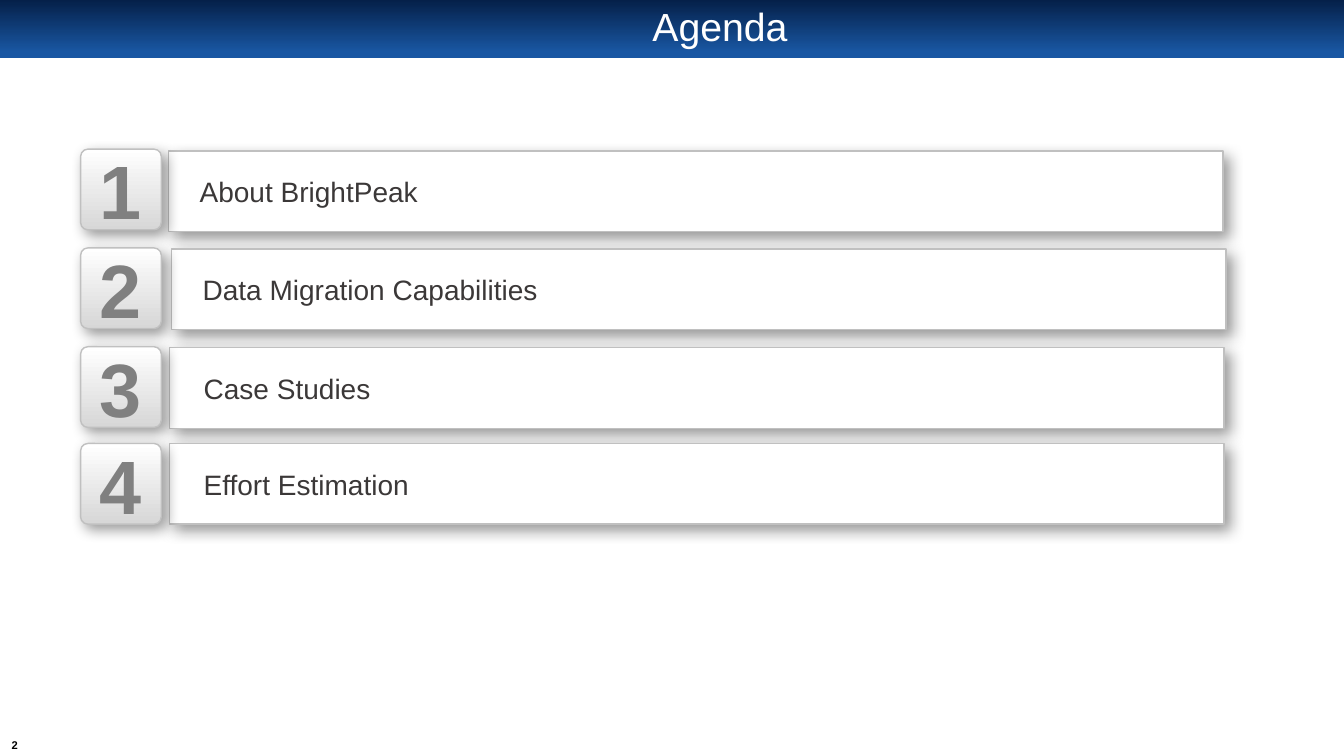
from lxml.etree import SubElement as Sub
from pptx import Presentation
from pptx.dml.color import RGBColor as Rgb
from pptx.enum.shapes import MSO_SHAPE as Shape
from pptx.enum.text import MSO_ANCHOR as Anchor, PP_ALIGN as Align
from pptx.oxml.ns import qn
from pptx.util import Inches, Pt

HUES = {"navy": "052049", "blue": "1957A3", "white": "FFFFFF", "silver": "D7D7D7",
        "edge": "C0C0C0", "gray": "808080", "ink": "3B3838", "black": "000000"}
FONTS = {
    "title": {"size": Pt(28), "color": "white"},
    "badge": {"size": Pt(54), "color": "gray", "bold": True},
    "item": {"size": Pt(20), "color": "ink"},
    "page": {"size": Pt(8), "color": "black", "bold": True},
}
ROWS = [
    ("About BrightPeak", 1.48, 1.67, 1.5, 0.31),
    ("Data Migration Capabilities", 2.46, 1.7, 2.47, 0.31),
    ("Case Studies", 3.44, 1.68, 3.45, 0.34),
    ("Effort Estimation", 4.4, 1.68, 4.4, 0.34),
]
SIDE = 0.8


def hue(name):
    """Return the colour of that name."""
    return Rgb.from_string(HUES[name])


def write(shape, text, style, align, insets=(0, 0, 0, 0), wrap=True):
    """Put one styled paragraph into a shape."""
    frame = shape.text_frame
    frame.word_wrap = wrap
    frame.vertical_anchor = Anchor.MIDDLE
    for side, inset in zip(("left", "top", "right", "bottom"), insets):
        setattr(frame, f"margin_{side}", Inches(inset))
    line = frame.paragraphs[0]
    line.text = text
    line.alignment = align
    for key, value in {"name": "Arial", **FONTS[style]}.items():
        if key == "color":
            line.font.color.rgb = hue(value)
        else:
            setattr(line.font, key, value)
    return line


def blend(shape, stops, angle):
    """Fill a shape with a two-colour gradient."""
    shape.fill.gradient()
    shape.fill.gradient_angle = angle
    for stop, (place, name) in zip(shape.fill.gradient_stops, stops):
        stop.position = place
        stop.color.rgb = hue(name)


def panel(slide, kind, box):
    """Add a gray-edged shape with a soft shadow."""
    shape = slide.shapes.add_shape(kind, *map(Inches, box))
    shape.shadow.inherit = False
    shape.line.color.rgb = hue("edge")
    shape.line.width = Pt(1)
    effects = shape._element.spPr.find(qn("a:effectLst"))
    shade = Sub(effects, qn("a:outerShdw"), blurRad=str(Pt(10)), dist=str(Pt(5)),
                dir="2700000", algn="tl", rotWithShape="0")
    color = Sub(shade, qn("a:srgbClr"), val=HUES["black"])
    Sub(color, qn("a:alpha"), val="40000")
    return shape


def header(slide, box, title):
    """Draw the top band and its title."""
    x, y, w, h = box
    band = slide.shapes.add_shape(Shape.RECTANGLE, *map(Inches, box))
    band.shadow.inherit = False
    band.line.fill.background()
    blend(band, [(0, "navy"), (0.9, "blue")], 270)
    area = slide.shapes.add_textbox(*map(Inches, (x + 0.66, y + 0.06, w - 1.37, h - 0.13)))
    line = write(area, title, "title", Align.CENTER, (1.1, 0.05, 0.1, 0.05))
    line.line_spacing = 0.9


def bar(slide, box, text, indent):
    """Draw the white bar of one agenda item."""
    shape = panel(slide, Shape.RECTANGLE, box)
    shape.fill.solid()
    shape.fill.fore_color.rgb = hue("white")
    write(shape, text, "item", Align.LEFT, (indent, 0.04, 0.24, 0.04))


def badge(slide, box, number):
    """Draw the numbered tile of one agenda item."""
    shape = panel(slide, Shape.ROUNDED_RECTANGLE, box)
    shape.adjustments[0] = 0.09
    blend(shape, [(0, "silver"), (1, "white")], 90)
    write(shape, str(number), "badge", Align.CENTER)


def footer(slide, box, number):
    """Write the page number."""
    area = slide.shapes.add_textbox(*map(Inches, box))
    write(area, str(number), "page", Align.CENTER, wrap=False)


def main():
    """Build and save the agenda slide."""
    deck = Presentation()
    deck.slide_width, deck.slide_height = Inches(13.33), Inches(7.5)
    slide = deck.slides.add_slide(deck.slide_layouts[6])
    header(slide, (0, 0, 13.33, 0.58), "Agenda")
    for number, (text, tile, left, top, indent) in enumerate(ROWS, 1):
        bar(slide, (left, top, 10.46, SIDE), text, indent)
        badge(slide, (0.8, tile, SIDE, SIDE), number)
    footer(slide, (0.02, 7.3, 0.25, 0.19), 2)
    deck.save("out.pptx")


if __name__ == "__main__":
    main()
